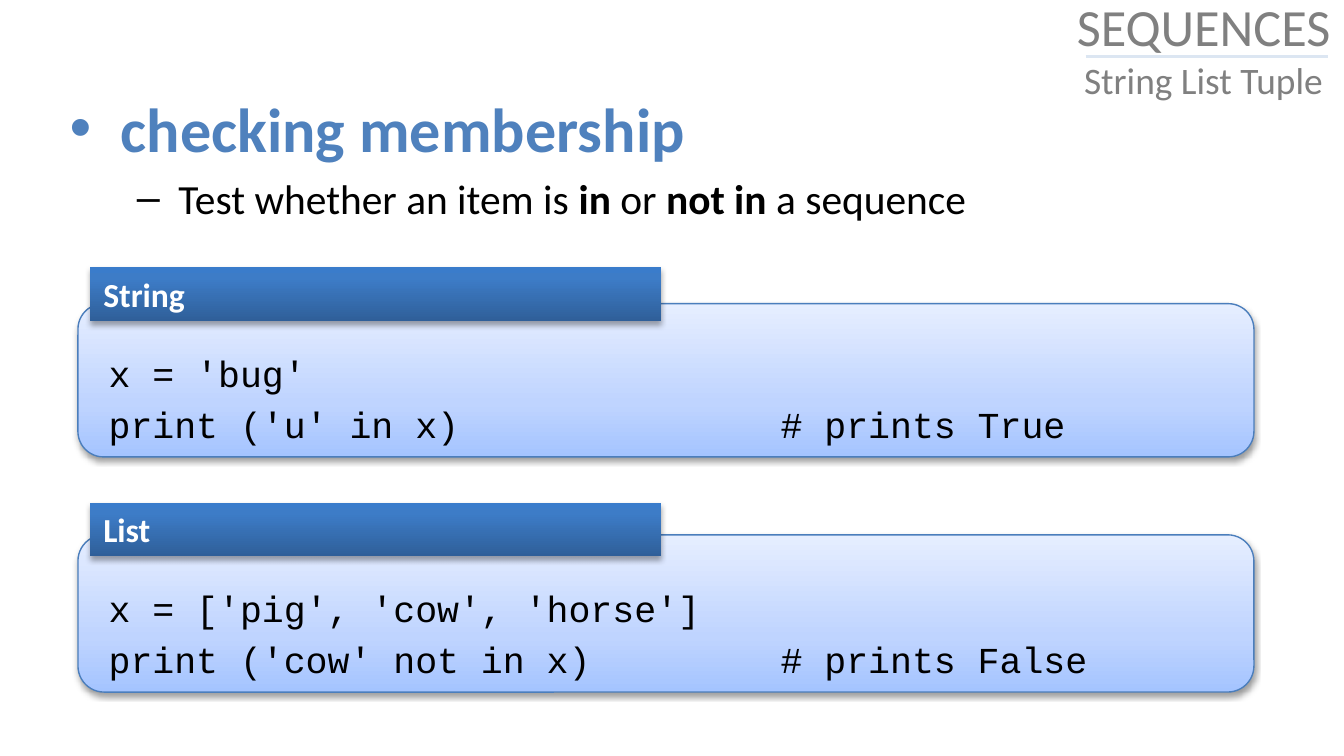
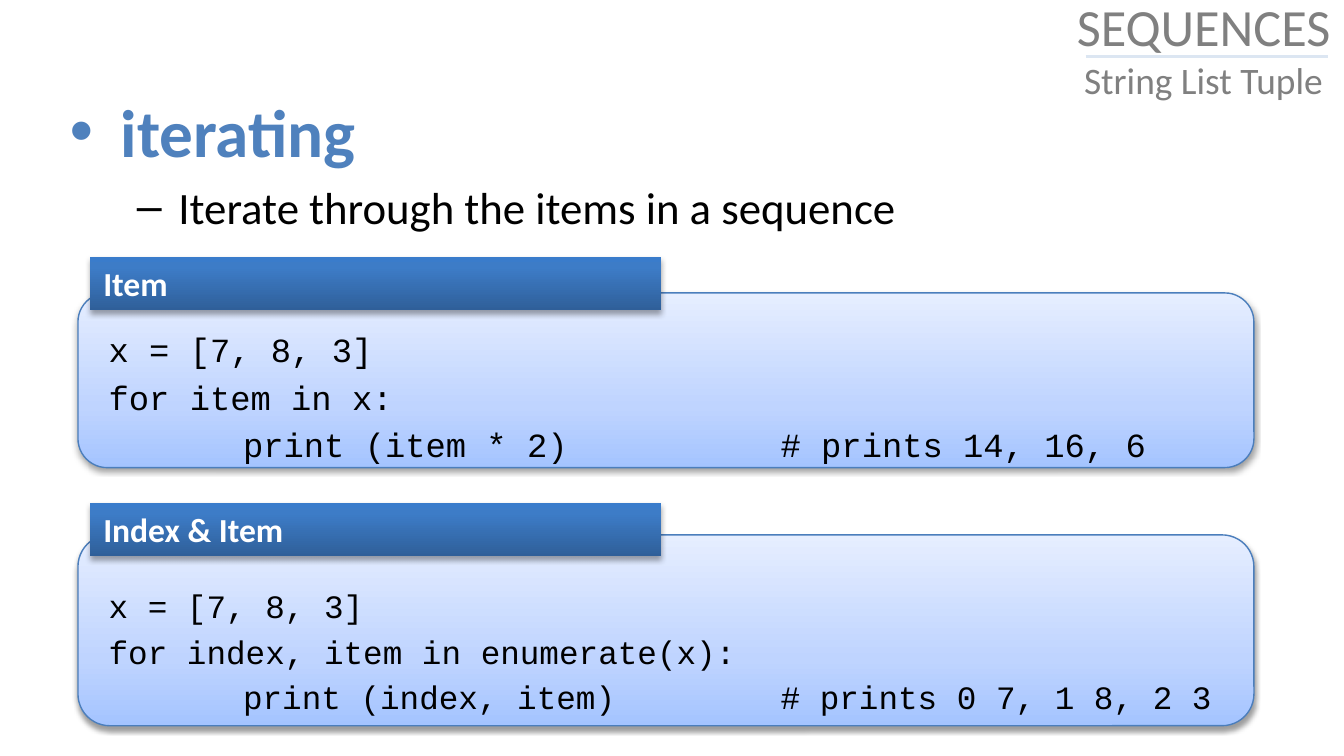
from dataclasses import dataclass
from typing import NamedTuple

from lxml.etree import SubElement
from pptx import Presentation
from pptx.dml.color import RGBColor
from pptx.enum.shapes import MSO_CONNECTOR, MSO_SHAPE
from pptx.enum.text import MSO_ANCHOR, PP_ALIGN
from pptx.oxml.ns import qn
from pptx.util import Inches, Pt


@dataclass(frozen=True)
class Theme:
    sans: str = "Calibri"
    mono: str = "Courier New"
    blue: str = "4F81BD"
    black: str = "000000"
    white: str = "FFFFFF"
    grey: str = "808080"
    rule: str = "DCE6F2"
    edge: str = "4B7EBC"
    pale: tuple = ((0, "A4C4FF"), (35, "BFD4FF"), (100, "E6EEFF"))
    deep: tuple = ((0, "2F5F99"), (80, "3D7CC7"), (100, "3A7CCB"))
    title: float = 28
    sub: float = 20
    label: float = 18


class Panel(NamedTuple):
    label: str
    tab_top: float
    top: float
    bottom: float
    code_top: float
    size: float
    code: tuple


class Page(NamedTuple):
    head: str
    point: str
    head_size: float
    point_size: float
    panels: tuple


THEME = Theme()
LEFT, WIDTH = 0.58, 8.75

PAGES = (
    Page("checking membership", "Test whether an item is |in| or |not in |a sequence", 33.3, 22.2, (
        Panel("String", 1.99, 2.26, 3.4, 2.56, 19.6, (
            "x = 'bug'",
            "print ('u' in x)\t\t\t# prints True")),
        Panel("List", 3.74, 3.98, 5.15, 4.31, 19.6, (
            "x = ['pig', 'cow', 'horse']",
            "print ('cow' not in x)\t\t# prints False")))),
    Page("iterating", "Iterate through the items in a sequence", 36, 24, (
        Panel("Item", 1.91, 2.18, 3.48, 2.4, 18.1, (
            "x = [7, 8, 3]",
            "for item in x:",
            "\tprint (item * 2)\t\t# prints 14, 16, 6")),
        Panel("Index & Item", 3.74, 3.98, 5.4, 4.31, 17.5, (
            "x = [7, 8, 3]",
            "for index, item in enumerate(x):",
            "\tprint (index, item)\t\t# prints 0 7, 1 8, 2 3")))),
)


def write(frame, text: str, *, size: float, color: str, font: str = THEME.sans,
          bold: bool = False, align=PP_ALIGN.LEFT, left: float = 0, hang: float = 0,
          bullet: str = "", before: int = 0, join: bool = False) -> None:
    """Add a paragraph, or a line of the last one if join; each | flips bold."""
    para = frame.paragraphs[-1]
    if join:
        para.add_line_break()
    elif para.runs:
        para = frame.add_paragraph()
    para.alignment = align
    if not join:
        props = para._p.get_or_add_pPr()
        props.set("marL", str(Inches(left)))
        props.set("indent", str(Inches(-hang)))
        props.set("defTabSz", str(Inches(1)))
        if before:
            space = SubElement(props, qn("a:spcBef"))
            SubElement(space, qn("a:spcPct"), val=str(before * 1000))
        if bullet:
            SubElement(props, qn("a:buFont"), typeface="Arial")
            SubElement(props, qn("a:buChar"), char=bullet)
    for i, part in enumerate(text.split("|")):
        run = para.add_run()
        run.text = part
        run.font.size = Pt(size)
        run.font.name = font
        run.font.bold = bold != bool(i % 2)
        run.font.color.rgb = RGBColor.from_string(color)


def add_text(shapes, left: float, top: float, width: float, height: float,
             anchor=MSO_ANCHOR.TOP):
    box = shapes.add_textbox(Inches(left), Inches(top), Inches(width), Inches(height))
    frame = box.text_frame
    frame.word_wrap = True
    frame.vertical_anchor = anchor
    return frame


def add_block(shapes, kind, left: float, top: float, width: float, height: float,
              stops: tuple, alpha: int, drop: float):
    """Draw a shape with an upward gradient and a soft shadow."""
    shape = shapes.add_shape(kind, Inches(left), Inches(top), Inches(width), Inches(height))
    shape.fill.gradient()
    shape.fill.gradient_angle = 90
    props = shape._element.spPr
    chain = props.find(qn("a:gradFill")).find(qn("a:gsLst"))
    for stop in list(chain):
        chain.remove(stop)
    for place, color in stops:
        stop = SubElement(chain, qn("a:gs"), pos=str(place * 1000))
        SubElement(stop, qn("a:srgbClr"), val=color)
    shape.line.fill.background()
    shape.shadow.inherit = False
    shade = SubElement(props.find(qn("a:effectLst")), qn("a:outerShdw"),
                       blurRad=str(Pt(3.1)), dist=str(Pt(drop)),
                       dir="5400000", rotWithShape="0")
    tint = SubElement(shade, qn("a:srgbClr"), val=THEME.black)
    SubElement(tint, qn("a:alpha"), val=str(alpha * 1000))
    return shape


def add_panel(slide, panel: Panel) -> None:
    shapes = slide.shapes.add_group_shape().shapes
    card = add_block(shapes, MSO_SHAPE.ROUNDED_RECTANGLE, LEFT, panel.top, WIDTH,
                     panel.bottom - panel.top, THEME.pale, 38, 1.6)
    card.line.color.rgb = RGBColor.from_string(THEME.edge)
    card.line.width = Pt(0.75)
    code = add_text(shapes, LEFT, panel.code_top, WIDTH, panel.bottom - panel.code_top)
    for line in panel.code:
        write(code, line, size=panel.size, color=THEME.black, font=THEME.mono,
              left=0.13, before=20)
    label = add_block(shapes, MSO_SHAPE.RECTANGLE, 0.67, panel.tab_top, 4.25, 0.4,
                      THEME.deep, 35, 1.8).text_frame
    label.word_wrap = True
    label.vertical_anchor = MSO_ANCHOR.TOP
    write(label, panel.label, size=THEME.label, color=THEME.white, bold=True)


def add_title(slide) -> None:
    frame = add_text(slide.shapes, 7.83, -0.02, 2.25, 0.75, MSO_ANCHOR.MIDDLE)
    look = dict(color=THEME.grey, align=PP_ALIGN.CENTER)
    write(frame, "SEQUENCES", size=THEME.title, **look)
    write(frame, "String List Tuple", size=THEME.sub, join=True, **look)
    rule = slide.shapes.add_connector(MSO_CONNECTOR.STRAIGHT, Inches(8.08), Inches(0.42),
                                      Inches(9.88), Inches(0.42))
    rule.line.color.rgb = RGBColor.from_string(THEME.rule)
    rule.line.width = Pt(2)
    SubElement(rule._element.spPr, qn("a:effectLst"))


def add_page(deck, page: Page) -> None:
    slide = deck.slides.add_slide(deck.slide_layouts[6])
    body = add_text(slide.shapes, 0.42, 0.62, 9, 1.1)
    write(body, page.head, size=page.head_size, color=THEME.blue, bold=True,
          left=0.38, hang=0.38, bullet="•", before=20)
    write(body, page.point, size=page.point_size, color=THEME.black,
          left=0.81, hang=0.31, bullet="–", before=20)
    for panel in page.panels:
        add_panel(slide, panel)
    add_title(slide)


def main() -> None:
    deck = Presentation()
    deck.slide_width = Inches(10)
    deck.slide_height = Inches(10) * 9 // 16
    for page in PAGES:
        add_page(deck, page)
    deck.save("out.pptx")


if __name__ == "__main__":
    main()
